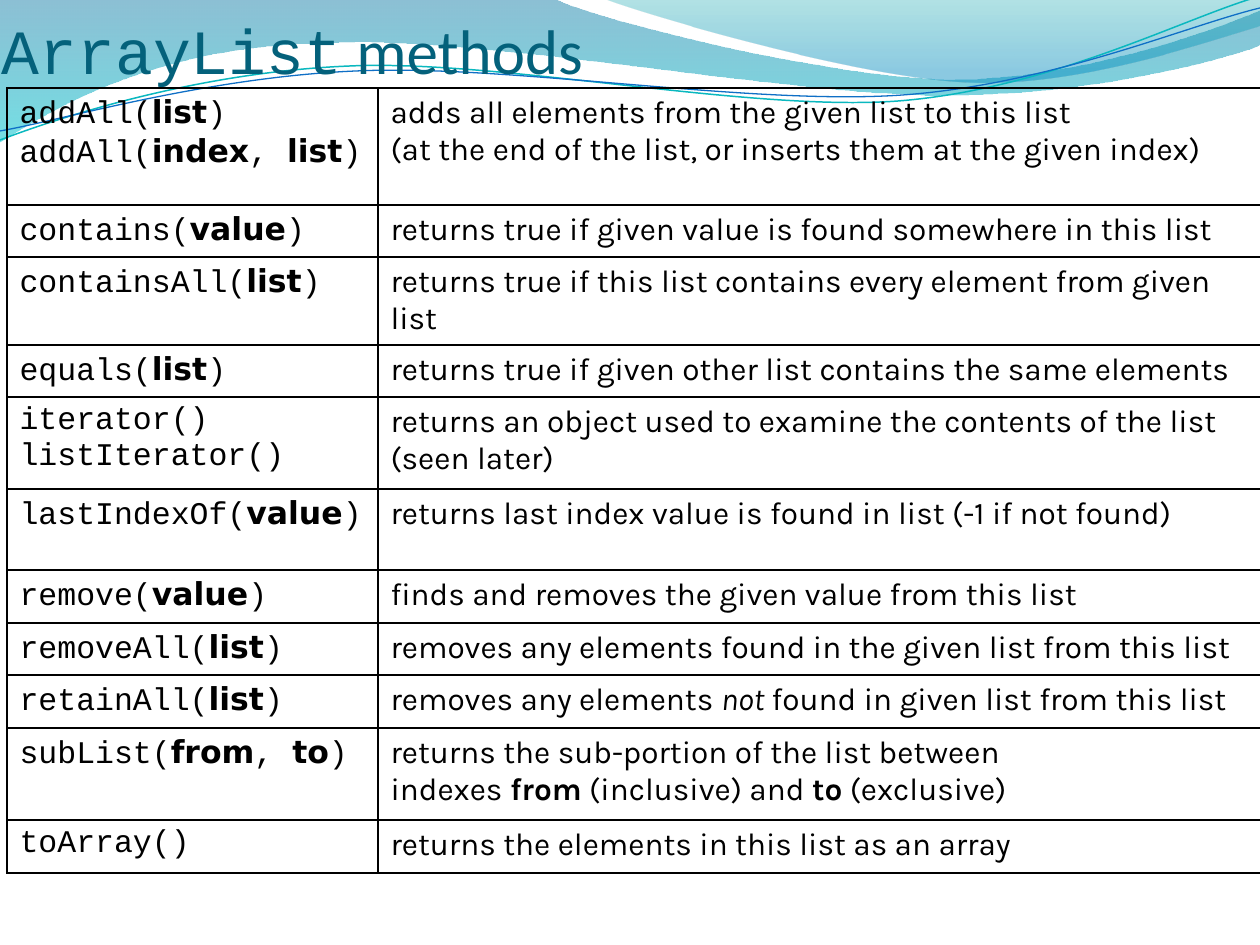
from lxml import etree
from pptx import Presentation
from pptx import util as u
from pptx.dml.color import RGBColor
from pptx.enum import text
from pptx.oxml import ns

CODE, ARGUMENT, PROSE = "Courier New", "DejaVu Sans", "Karla"

UPPER_WAVE = [
    [(0, 0)], [(554, -1)],
    [(600, 21), (837, 79), (955, 79)],
    [(1075, 79), (1207, 33), (1260, 11)],
    [(1261, 45)],
    [(1239, 55), (1096, 96), (940, 95)],
    [(783, 95), (481, 35), (324, 43)],
    [(163, 45), (58, 105), (-1, 142)],
    [(0, 0)],
]
RIGHT_WAVE = [
    [(604, -1)],
    [(641, 14), (859, 78), (969, 82)],
    [(1079, 87), (1211, 40), (1260, 26)],
    [(1260, 0)],
    [(604, -1)],
]
TEAL_STRAND = [
    [(0, 140)],
    [(60, 117), (199, 72), (349, 66)],
    [(498, 59), (747, 112), (898, 101)],
    [(1050, 89), (1182, 19), (1257, -3)],
]
BLUE_STRAND = [
    [(0, 131)],
    [(59, 121), (207, 77), (357, 71)],
    [(508, 64), (752, 106), (903, 95)],
    [(1053, 84), (1186, 26), (1260, 8)],
]

METHODS = [
    (117, ["addAll(*list*)", "addAll(*index*, *list*)"],
     ["adds all elements from the given list to this list",
      "(at the end of the list, or inserts them at the given index)"]),
    (52, ["contains(*value*)"],
     ["returns true if given value is found somewhere in this list"]),
    (52, ["containsAll(*list*)"],
     ["returns true if this list contains every element from given list"]),
    (52, ["equals(*list*)"],
     ["returns true if given other list contains the same elements"]),
    (92, ["iterator()", "listIterator()"],
     ["returns an object used to examine the contents of the list (seen later)"]),
    (81, ["lastIndexOf(*value*)"],
     ["returns last index value is found in list (-1 if not found)"]),
    (53, ["remove(*value*)"],
     ["finds and removes the given value from this list"]),
    (52, ["removeAll(*list*)"],
     ["removes any elements found in the given list from this list"]),
    (53, ["retainAll(*list*)"],
     ["removes any elements _not_ found in given list from this list"]),
    (92, ["subList(*from*, *to*)"],
     ["returns the sub-portion of the list between\n"
      "indexes *from* (inclusive) and *to* (exclusive)"]),
    (53, ["toArray()"],
     ["returns the elements in this list as an array"]),
]


def px(length):
    return u.Emu(round(length * 914400 / 126))


def color(value):
    return RGBColor.from_string(value)


def bend(outline, segments):
    steps = iter(list(outline._element.iter(ns.qn("a:lnTo"))))
    for segment in segments[1:]:
        lines = [next(steps) for _ in segment]
        if len(segment) == 3:
            curve = etree.Element(ns.qn("a:cubicBezTo"))
            lines[0].addprevious(curve)
            for line in lines:
                curve.append(line[0])
                line.getparent().remove(line)


def add_outline(slide, segments, close):
    points = [(px(x), px(y)) for segment in segments for x, y in segment]
    builder = slide.shapes.build_freeform(*points[0])
    builder.add_line_segments(points[1:], close=close)
    outline = builder.convert_to_shape()
    outline.shadow.inherit = False
    bend(outline, segments)
    return outline


def add_wave(slide, segments, stops):
    wave = add_outline(slide, segments, True)
    wave.line.fill.background()
    wave.fill.gradient()
    wave.fill.gradient_angle = 270
    for stop, (position, value, _) in zip(wave.fill.gradient_stops, stops):
        stop.position = position
        stop.color.rgb = color(value)
    for rgb, (_, _, opacity) in zip(wave._element.iter(ns.qn("a:srgbClr")), stops):
        etree.SubElement(rgb, ns.qn("a:alpha"), val=str(opacity * 1000))


def add_strand(slide, segments, value, width):
    strand = add_outline(slide, segments, False)
    strand.fill.background()
    strand.line.color.rgb = color(value)
    strand.line.width = u.Pt(width)


def add_title(slide):
    box = slide.shapes.add_textbox(px(2), 0, px(1134), px(87))
    frame = box.text_frame
    frame.word_wrap = True
    frame.vertical_anchor = text.MSO_ANCHOR.BOTTOM
    frame.margin_left = frame.margin_right = frame.margin_bottom = 0
    frame.margin_top = px(6)
    title = frame.paragraphs[0]
    title.font.size = u.Pt(36)
    title.font.color.rgb = color("04617B")
    for words, font in (("ArrayList", CODE), (" methods", "Calibri")):
        run = title.add_run()
        run.text = words
        run.font.name = font


def add_run(paragraph, words, bold, italic, emphasis_font):
    for number, line in enumerate(words.split("\n")):
        if number:
            paragraph.add_line_break()
        run = paragraph.add_run()
        run.text = line
        if bold:
            run.font.bold = True
            run.font.name = emphasis_font
        if italic:
            run.font.italic = True


def write_cell(cell, lines, font, emphasis_font):
    frame = cell.text_frame
    for number, line in enumerate(lines):
        paragraph = frame.add_paragraph() if number else frame.paragraphs[0]
        paragraph.font.size = u.Pt(18)
        paragraph.font.name = font
        paragraph.font.color.rgb = color("000000")
        for bold, part in enumerate(line.split("*")):
            for italic, words in enumerate(part.split("_")):
                if words:
                    add_run(paragraph, words, bold % 2, italic % 2, emphasis_font)


def draw_cell(cell):
    properties = cell._tc.get_or_add_tcPr()
    for side in ("lnL", "lnR", "lnT", "lnB"):
        border = etree.SubElement(properties, ns.qn("a:" + side), w=str(u.Pt(1)))
        fill = etree.SubElement(border, ns.qn("a:solidFill"))
        etree.SubElement(fill, ns.qn("a:srgbClr"), val="000000")
    cell.fill.background()


def add_methods(slide):
    height = sum(row[0] for row in METHODS)
    table = slide.shapes.add_table(len(METHODS), 2, px(7), px(88),
                                   px(1254), px(height)).table
    table.first_row = table.horz_banding = False
    for column, width in zip(table.columns, (371, 883)):
        column.width = px(width)
    for row, (row_height, signatures, description) in zip(table.rows, METHODS):
        row.height = px(row_height)
        write_cell(row.cells[0], signatures, CODE, ARGUMENT)
        write_cell(row.cells[1], description, PROSE, PROSE)
        for cell in row.cells:
            draw_cell(cell)


def main():
    deck = Presentation()
    deck.slide_width, deck.slide_height = px(1260), px(945)
    slide = deck.slides.add_slide(deck.slide_layouts[6])
    add_wave(slide, UPPER_WAVE, [(0, "0074A1", 45), (1, "00C6CF", 55)])
    add_wave(slide, RIGHT_WAVE, [(0, "00A1A9", 30), (0.8, "008BBF", 45)])
    add_strand(slide, TEAL_STRAND, "0AB8BF", 0.85)
    add_strand(slide, BLUE_STRAND, "0F6FC6", 0.75)
    add_title(slide)
    add_methods(slide)
    deck.save("out.pptx")


if __name__ == "__main__":
    main()
